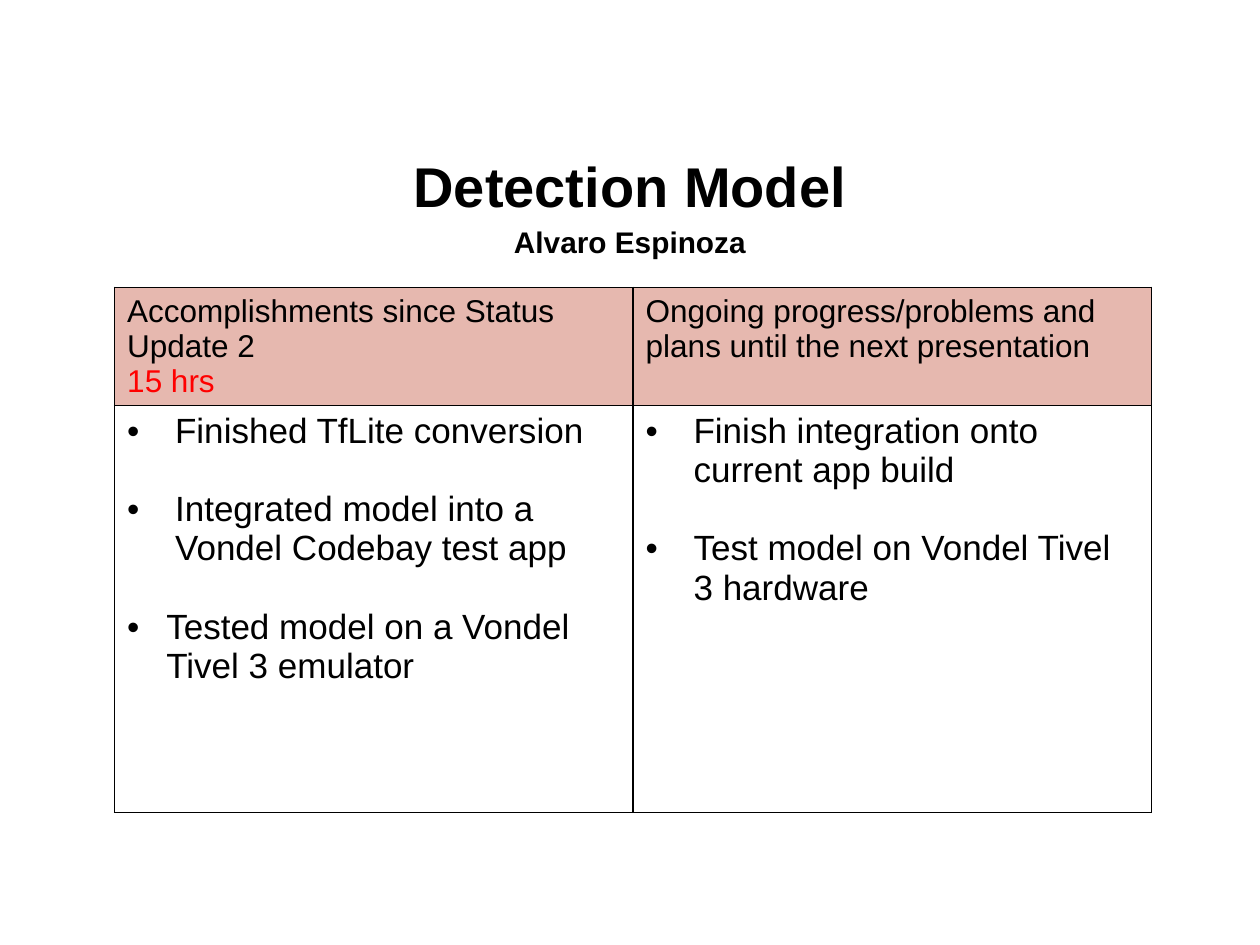
import pptx
import pptx.util
import pptx.dml.color
import pptx.enum.text
import pptx.oxml.ns
import lxml.etree

Inches, Pt = pptx.util.Inches, pptx.util.Pt
RGB = pptx.dml.color.RGBColor.from_string
qn = pptx.oxml.ns.qn

THEME = {
    "font": "Arial",
    "ink": "000000", "accent": "FF0000", "header": "E6B8AF",
    "title": 32, "author": 17, "heading": 18, "bullet": 20, "gap": 22.4,
}

HEADINGS = [
    [("Accomplishments since Status Update 2", "ink"), ("15 hrs", "accent")],
    [("Ongoing progress/problems and plans until the next presentation", "ink")],
]
# Each bullet is its text and hanging indent in inches
BULLETS = [
    [("Finished TfLite conversion", 0.38),
     ("Integrated model into a Vondel Codebay test app", 0.38),
     ("Tested model on a Vondel Tivel 3 emulator", 0.31)],
    [("Finish integration onto current app build", 0.38),
     ("Test model on Vondel Tivel 3 hardware", 0.38)],
]


def add_run(p, text, size, color="ink", bold=False):
    r = p.add_run()
    r.text = text
    r.font.name = THEME["font"]
    r.font.size = Pt(THEME[size])
    r.font.bold = bold
    r.font.color.rgb = RGB(THEME[color])


def add_borders(cell):
    tcPr = cell._tc.get_or_add_tcPr()
    for i, side in enumerate(("lnL", "lnR", "lnT", "lnB")):
        ln = lxml.etree.Element(qn(f"a:{side}"), w=str(Pt(1)))
        fill = lxml.etree.SubElement(ln, qn("a:solidFill"))
        lxml.etree.SubElement(fill, qn("a:srgbClr"), val=THEME["ink"])
        tcPr.insert(i, ln)


prs = pptx.Presentation()
prs.slide_width, prs.slide_height = Inches(10), Inches(7.5)
s = prs.slides.add_slide(prs.slide_layouts[5])

# Title and author
sp = s.shapes.title
sp.left, sp.top, sp.width, sp.height = map(Inches, (0.5, 1.15, 9, 0.88))
tf = sp.text_frame
tf.auto_size = pptx.enum.text.MSO_AUTO_SIZE.NONE
tf.vertical_anchor = pptx.enum.text.MSO_ANCHOR.MIDDLE
for i, (text, size) in enumerate([("Detection Model", "title"),
                                  ("Alvaro Espinoza", "author")]):
    p = tf.add_paragraph() if i else tf.paragraphs[0]
    p.alignment = pptx.enum.text.PP_ALIGN.CENTER
    p.line_spacing = 1.15
    add_run(p, text, size, bold=True)

# Status table: one column for done work, one for plans
rows = [0.94, 3.23]
table = s.shapes.add_table(2, 2, Inches(0.91), Inches(2.28),
                           Inches(8.23), Inches(sum(rows))).table
table.first_row = table.horz_banding = False
for row, height in zip(table.rows, rows):
    row.height = Inches(height)

for col, (headings, bullets) in enumerate(zip(HEADINGS, BULLETS)):
    # Heading cell
    cell = table.cell(0, col)
    cell.fill.solid()
    cell.fill.fore_color.rgb = RGB(THEME["header"])
    add_borders(cell)
    tf = cell.text_frame
    for i, (text, color) in enumerate(headings):
        p = tf.add_paragraph() if i else tf.paragraphs[0]
        add_run(p, text, "heading", color)

    # Bullet cell
    cell = table.cell(1, col)
    cell.fill.background()
    add_borders(cell)
    tf = cell.text_frame
    for i, (text, indent) in enumerate(bullets):
        p = tf.add_paragraph() if i else tf.paragraphs[0]
        pPr = p._p.get_or_add_pPr()
        pPr.set("marL", str(Inches(indent)))
        pPr.set("indent", str(-Inches(indent)))
        lxml.etree.SubElement(pPr, qn("a:buFont"), typeface=THEME["font"])
        lxml.etree.SubElement(pPr, qn("a:buChar"), char="•")
        if i:
            p.space_before = Pt(THEME["gap"])
        add_run(p, text, "bullet")

prs.save("out.pptx")
